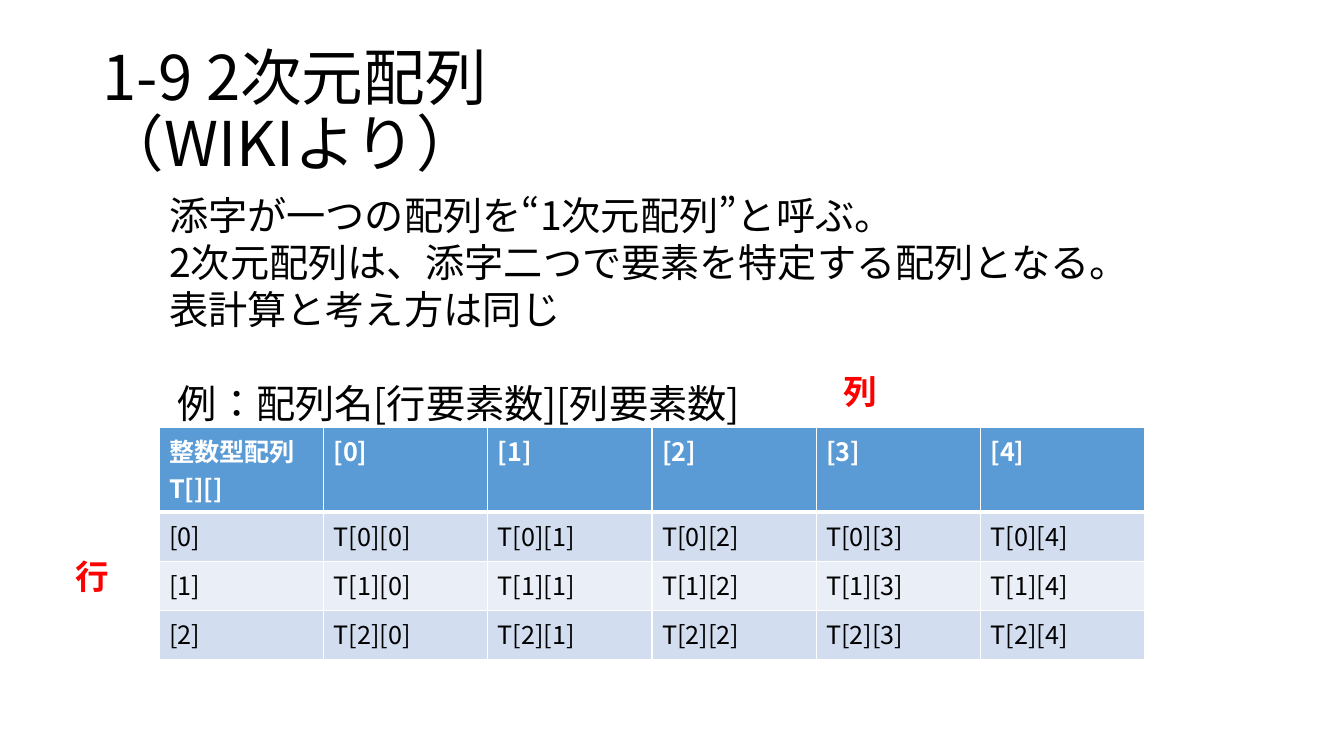
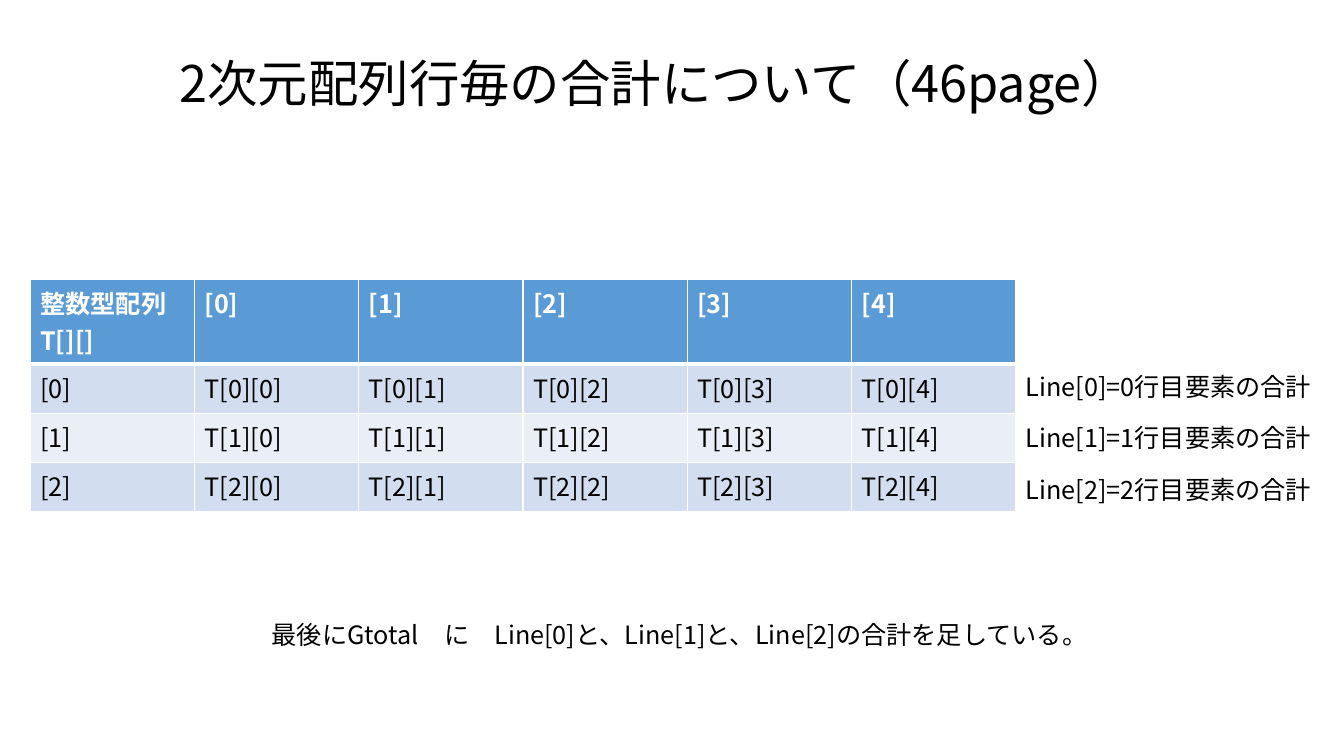
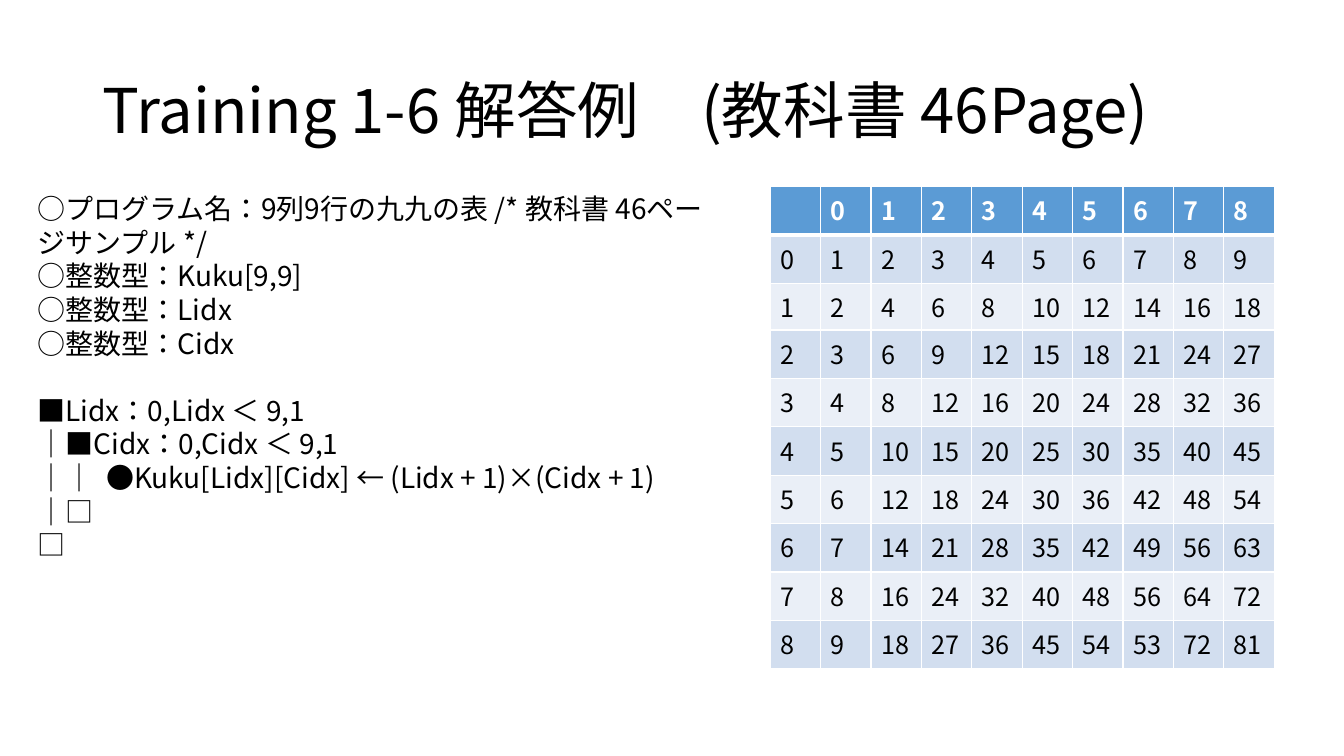
from lxml import etree
from pptx import Presentation
from pptx import util as u
from pptx.dml import color
from pptx.enum import text
from pptx.oxml import ns

FONT = "Noto Sans CJK JP"
BLACK, WHITE, RED = "000000", "FFFFFF", "FF0000"
HEADER, BANDS = "5B9BD5", ("D2DEEF", "EAEFF7")
TITLE_BOX = (2.33, 1.02, 29.21, 3.68)
TITLE_ONLY, TITLE_AND_BODY = 5, 1


def rgb(value):
    """Turn a hex string into a colour."""
    return color.RGBColor.from_string(value)


def place(shape, box):
    """Move a shape to a box of left, top, width and height in cm."""
    shape.left, shape.top, shape.width, shape.height = map(u.Cm, box)


def style(paragraph, size, ink=BLACK, bold=False):
    """Set the font of a paragraph for Latin and East Asian text."""
    font = paragraph.font
    font.size, font.bold = u.Pt(size), bold
    font.color.rgb = rgb(ink)
    font.name = FONT
    properties = paragraph._p.pPr.find(ns.qn("a:defRPr"))
    properties.set("lang", "ja-JP")
    etree.SubElement(properties, ns.qn("a:ea"), typeface=FONT)


def add_title(slide, words, box=TITLE_BOX, size=44, spacing=0.9,
              anchor=text.MSO_ANCHOR.MIDDLE):
    """Fill and place the title of a slide."""
    title = slide.shapes.title
    place(title, box)
    frame = title.text_frame
    frame.word_wrap, frame.auto_size = True, text.MSO_AUTO_SIZE.NONE
    frame.vertical_anchor = anchor
    heading = frame.paragraphs[0]
    heading.text = words
    heading.alignment, heading.line_spacing = text.PP_ALIGN.LEFT, spacing
    style(heading, size)


def add_body(slide, lines, box, size, gap_before):
    """Fill the body with plain lines, one of them set off by a line's height."""
    body = slide.placeholders[1]
    place(body, box)
    frame = body.text_frame
    frame.word_wrap, frame.auto_size = True, text.MSO_AUTO_SIZE.NONE
    for index, line in enumerate(lines):
        paragraph = frame.add_paragraph() if index else frame.paragraphs[0]
        paragraph.text = line
        paragraph.space_before = u.Pt(size * 1.2 if index == gap_before else 0)
        properties = paragraph._p.get_or_add_pPr()
        properties.set("marL", "0")
        properties.set("indent", "0")
        etree.SubElement(properties, ns.qn("a:buNone"))
        style(paragraph, size)


def add_note(slide, words, box, size=18, ink=BLACK, bold=False, wrap=False):
    """Add a short text at a box."""
    note = slide.shapes.add_textbox(*map(u.Cm, box))
    note.text_frame.word_wrap = wrap
    paragraph = note.text_frame.paragraphs[0]
    paragraph.text = words
    style(paragraph, size, ink, bold)


def add_borders(cell, top, bottom):
    """Draw white borders round a cell, with top and bottom widths in points."""
    properties = cell._tc.get_or_add_tcPr()
    for side, width in (("L", 1), ("R", 1), ("T", top), ("B", bottom)):
        line = etree.SubElement(properties, ns.qn(f"a:ln{side}"),
                                w=str(u.Pt(width)))
        fill = etree.SubElement(line, ns.qn("a:solidFill"))
        etree.SubElement(fill, ns.qn("a:srgbClr"), val=WHITE)


def add_grid(slide, rows, left, top, column_width, heights):
    """Add a banded table with a header row."""
    columns = len(rows[0])
    grid = slide.shapes.add_table(
        len(rows), columns, u.Cm(left), u.Cm(top),
        u.Cm(column_width * columns), u.Cm(sum(heights))).table
    for column in grid.columns:
        column.width = u.Cm(column_width)
    for r, (values, height) in enumerate(zip(rows, heights)):
        grid.rows[r].height = u.Cm(height)
        for c, value in enumerate(values):
            cell = grid.cell(r, c)
            add_borders(cell, 3 if r == 1 else 1, 1 if r else 3)
            cell.fill.solid()
            cell.fill.fore_color.rgb = rgb(BANDS[(r - 1) % 2] if r else HEADER)
            paragraph = cell.text_frame.paragraphs[0]
            paragraph.text = str(value)
            style(paragraph, 18, BLACK if r else WHITE, bold=not r)


def add_array(slide, left, top):
    """Add the table of the elements of array T."""
    rows = [["整数型配列T[][]"] + [f"[{c}]" for c in range(5)]]
    rows += [[f"[{r}]"] + [f"T[{r}][{c}]" for c in range(5)] for r in range(3)]
    add_grid(slide, rows, left, top, 4.14, [2.13] + [1.24] * 3)


def add_times_table(slide, left, top):
    """Add the multiplication table as the lesson prints it."""
    rows = [[""] + list(range(9))]
    rows += [[r] + [(r + 1) * (c + 1) for c in range(9)] for r in range(9)]
    rows[9][7] = 53
    add_grid(slide, rows, left, top, 1.27, [1.22, 1.22, 1.14] + [1.22] * 7)


def build_definition(slide):
    """Build the slide that explains two-dimensional arrays."""
    add_title(slide, "1-9 2次元配列\v（WIKIより）")
    add_body(slide, [
        "添字が一つの配列を“1次元配列”と呼ぶ。",
        "2次元配列は、添字二つで要素を特定する配列となる。",
        "表計算と考え方は同じ",
        " 例：配列名[行要素数][列要素数]",
    ], (4.01, 4.7, 24.94, 7.44), 28, gap_before=3)
    add_array(slide, 4.01, 10.77)
    for axis, left, top in (("行", 1.65, 13.89), ("列", 21.01, 9.22)):
        add_note(slide, axis, (left, top, 1.37, 1.27), 24, RED, bold=True)


def build_row_totals(slide):
    """Build the slide on the total of each row."""
    add_title(slide, "2次元配列行毎の合計について（46page）",
              (4.27, 1.19, 24.77, 1.8), 36, 1.0, text.MSO_ANCHOR.TOP)
    add_array(slide, 0.76, 7.04)
    for row in range(3):
        add_note(slide, f"Line[{row}]={row}行目要素の合計",
                 (25.6, 9.22 + 1.3 * row, 7.95, 1.02))
    add_note(slide, "最後にGtotal　に　Line[0]と、Line[1]と、Line[2]の合計を足している。",
             (6.6, 15.47, 21.56, 1.02), wrap=True)


def build_answer(slide):
    """Build the slide with the sample answer."""
    add_title(slide, "Training 1-6 解答例　(教科書 46Page)")
    add_body(slide, [
        "○プログラム名：9列9行の九九の表 /* 教科書 46ページサンプル */",
        "○整数型：Kuku[9,9]",
        "○整数型：Lidx",
        "○整数型：Cidx",
        "■Lidx：0,Lidx ＜ 9,1",
        "｜■Cidx：0,Cidx ＜ 9,1",
        "｜｜  ●Kuku[Lidx][Cidx] ← (Lidx + 1)×(Cidx + 1)",
        "｜□",
        "□",
    ], (0.69, 4.7, 17.63, 11.56), 20, gap_before=4)
    add_times_table(slide, 19.41, 4.7)


def main():
    """Build the slides and save them."""
    deck = Presentation()
    deck.slide_width, deck.slide_height = u.Cm(33.87), u.Cm(19.05)
    for build, layout in ((build_definition, TITLE_AND_BODY),
                          (build_row_totals, TITLE_ONLY),
                          (build_answer, TITLE_AND_BODY)):
        build(deck.slides.add_slide(deck.slide_layouts[layout]))
    deck.save("out.pptx")


main()
